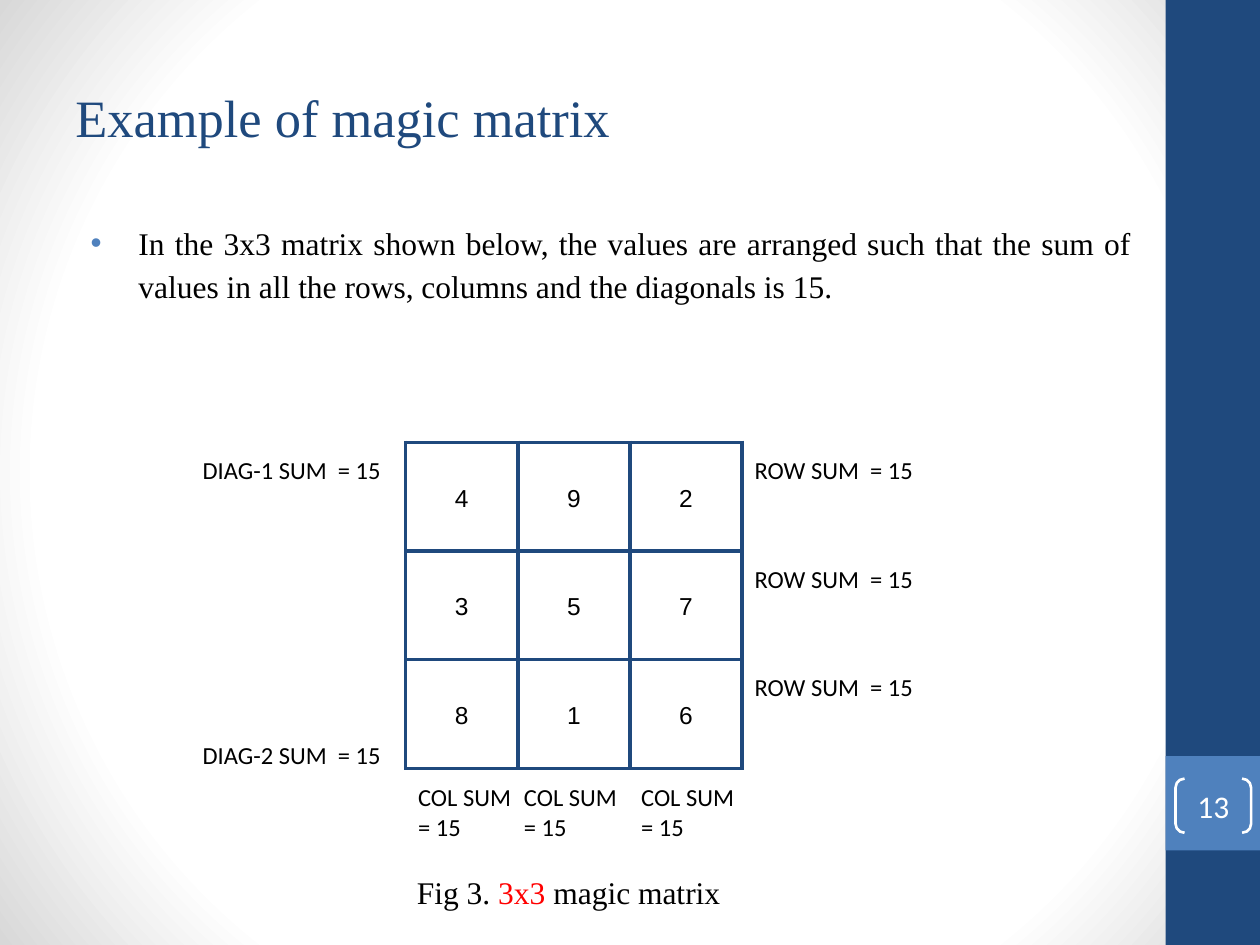
from lxml.etree import SubElement
from pptx import Presentation
from pptx.dml.color import RGBColor
from pptx.enum.shapes import MSO_SHAPE as Shape
from pptx.enum.text import MSO_ANCHOR as Anchor, PP_ALIGN as Align
from pptx.oxml.ns import qn
from pptx.util import Inches, Pt

NAVY, BLUE, WHITE, GREY = "1F497D", "4F81BD", "FFFFFF", "D8D8D8"
BLACK, RED = "000000", "FF0000"
SERIF, SANS, LABEL = "Times New Roman", "Arial", "Calibri"


def color(value):
    return RGBColor.from_string(value)


class MagicSlide:
    def __init__(self, deck):
        self.page = deck.slides.add_slide(deck.slide_layouts[6])

    def background(self, stops):
        self.page.background.fill.gradient()
        gradient = self.page.element.find(".//" + qn("a:gradFill"))
        for child in list(gradient):
            gradient.remove(child)
        stop_list = SubElement(gradient, qn("a:gsLst"))
        for percent, value in stops:
            stop = SubElement(stop_list, qn("a:gs"), pos=str(percent * 1000))
            SubElement(stop, qn("a:srgbClr"), val=value)
        circle = SubElement(gradient, qn("a:path"), {"path": "circle"})
        SubElement(circle, qn("a:fillToRect"), {side: "50000" for side in "ltrb"})

    def style(self, para, size, font, *inks):
        for span, ink in zip(para.runs, inks):
            span.font.size = Pt(size)
            span.font.name = font
            span.font.color.rgb = color(ink)

    def margins(self, frame, horizontal, vertical):
        frame.margin_left = frame.margin_right = Inches(horizontal)
        frame.margin_top = frame.margin_bottom = Inches(vertical)

    def shape(self, kind, area, fill=None, line=None):
        box = self.page.shapes.add_shape(kind, *map(Inches, area))
        box.shadow.inherit = False
        if fill:
            box.fill.solid()
            box.fill.fore_color.rgb = color(fill)
        else:
            box.fill.background()
        if line:
            box.line.color.rgb = color(line)
            box.line.width = Pt(1.5)
        else:
            box.line.fill.background()
        return box

    def text(self, area, spans, size=14, font=LABEL, inset=0.1, anchor=Anchor.TOP):
        box = self.page.shapes.add_textbox(*map(Inches, area))
        frame = box.text_frame
        frame.word_wrap = True
        frame.vertical_anchor = anchor
        self.margins(frame, 0.1, inset)
        para = frame.paragraphs[0]
        for words, _ in spans:
            para.add_run().text = words
        self.style(para, size, font, *(ink for _, ink in spans))
        return para

    def label(self, left, top, words, width=1.71, height=0.29):
        self.text((left, top, width, height), [(words, BLACK)])

    def bullet(self, para, ink):
        para.alignment = Align.JUSTIFY
        para.line_spacing = 1.15
        para.space_before = Pt(4)
        props = para._p.get_or_add_pPr()
        props.set("marL", str(Inches(0.5)))
        props.set("indent", str(Inches(-0.38)))
        bullet_color = SubElement(props, qn("a:buClr"))
        SubElement(bullet_color, qn("a:srgbClr"), val=ink)
        SubElement(props, qn("a:buFont"), typeface=SANS)
        SubElement(props, qn("a:buChar"), char="•")

    def badge(self, area, words):
        box = self.shape(Shape.DOUBLE_BRACKET, area, line=WHITE)
        frame = box.text_frame
        frame.text = words
        frame.vertical_anchor = Anchor.MIDDLE
        self.margins(frame, 0, 0)
        frame.paragraphs[0].alignment = Align.CENTER
        self.style(frame.paragraphs[0], 18, LABEL, WHITE)

    def borders(self, cell, ink, width):
        props = cell._tc.get_or_add_tcPr()
        for index, side in enumerate(("lnL", "lnR", "lnT", "lnB")):
            line = SubElement(props, qn("a:" + side), w=str(Pt(width)))
            solid = SubElement(line, qn("a:solidFill"))
            SubElement(solid, qn("a:srgbClr"), val=ink)
            props.insert(index, line)

    def matrix(self, area, values):
        table = self.page.shapes.add_table(
            len(values), len(values[0]), *map(Inches, area)).table
        table.first_row = table.horz_banding = False
        for row, numbers in enumerate(values):
            for column, number in enumerate(numbers):
                cell = table.cell(row, column)
                cell.text_frame.text = str(number)
                cell.fill.background()
                cell.vertical_anchor = Anchor.MIDDLE
                self.margins(cell, 0.1, 0.1)
                para = cell.text_frame.paragraphs[0]
                para.alignment = Align.CENTER
                para.line_spacing = 1.15
                self.style(para, 14, SANS, BLACK)
                self.borders(cell, NAVY, 2.25)


def main():
    deck = Presentation()
    deck.slide_width, deck.slide_height = Inches(10), Inches(7.5)
    slide = MagicSlide(deck)
    slide.background([(0, WHITE), (75, WHITE), (100, GREY)])
    slide.shape(Shape.RECTANGLE, (9.25, 0, 0.75, 7.5), fill=NAVY)
    slide.shape(Shape.RECTANGLE, (9.25, 6, 0.75, 0.75), fill=BLUE)

    slide.text((0.5, 0.3, 8.33, 1.25), [("Example of magic matrix", NAVY)],
               30, SERIF, 0.05, Anchor.MIDDLE)
    body = slide.text(
        (0.5, 1.68, 8.58, 5.62),
        [("In the 3x3 matrix shown below, the values are arranged such that "
          "the sum of values in all the rows, columns and the diagonals is 15.",
          BLACK)], 18, SERIF, 0.05)
    slide.bullet(body, BLUE)

    left, top, width, height = 3.22, 3.51, 2.67, 2.59
    slide.matrix((left, top, width, height), [[4, 9, 2], [3, 5, 7], [8, 1, 6]])
    for row in range(3):
        slide.label(left + width, top + row * height / 3, "ROW SUM  = 15")
    for column_left in (left, 4.06, 4.99):
        slide.label(column_left, 6.11, "COL SUM  = 15", 0.98, 0.85)
    for number, label_top in ((2, 5.77), (1, top)):
        slide.label(1.51, label_top, f"DIAG-{number} SUM  = 15")

    slide.text((3.21, 6.83, 2.91, 0.47),
               [("Fig 3. ", BLACK), ("3x3", RED), (" magic matrix", BLACK)],
               18, SERIF)
    slide.badge((9.33, 6.18, 0.6, 0.43), "13")
    deck.save("out.pptx")


if __name__ == "__main__":
    main()
